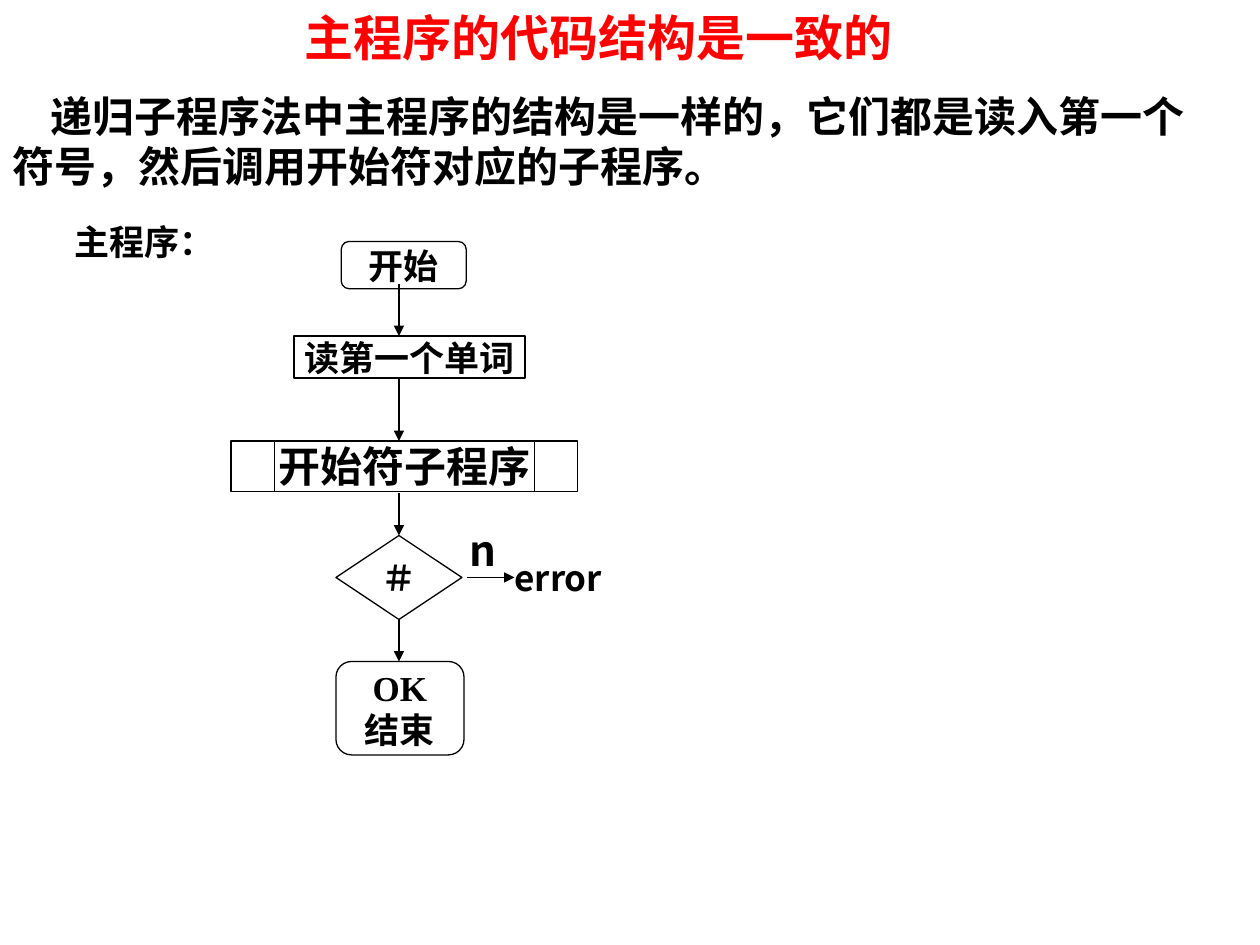
from dataclasses import dataclass

from lxml.etree import SubElement
from pptx import Presentation
from pptx.dml.color import RGBColor
from pptx.enum.shapes import MSO_CONNECTOR, MSO_SHAPE
from pptx.enum.text import MSO_ANCHOR, PP_ALIGN
from pptx.oxml.ns import qn
from pptx.util import Inches, Pt


@dataclass(frozen=True)
class Theme:
    ink: RGBColor = RGBColor(0, 0, 0)
    title_ink: RGBColor = RGBColor(255, 0, 0)
    sans: str = "Noto Sans CJK SC"
    serif: str = "Times New Roman"
    title: int = 28
    large: int = 24
    normal: int = 20
    line: float = 0.75


THEME = Theme()
WIDTH, HEIGHT = 10, 7.5
COLS, ROWS = 120, 90
AXIS = 38  # column of the main flow


def x(col):
    return Inches(WIDTH * col / COLS)


def y(row):
    return Inches(HEIGHT * row / ROWS)


def box(col, row, cols, rows):
    return x(col), y(row), x(cols), y(rows)


def set_text(tf, text, size, font, color=THEME.ink, align=PP_ALIGN.LEFT,
             anchor=MSO_ANCHOR.TOP, inset=0):
    tf.text = text
    tf.vertical_anchor = anchor
    tf.margin_left = tf.margin_right = Inches(inset)
    tf.margin_top = tf.margin_bottom = Inches(inset / 2)
    for p in tf.paragraphs:
        p.alignment = align
        for r in p.runs:
            r.font.size = Pt(size)
            r.font.bold = True
            r.font.name = font
            r.font.color.rgb = color
            SubElement(r.font._element, qn("a:ea"), typeface=THEME.sans)


def add_text(s, place, text, size, font=THEME.sans, wrap=False, **style):
    tf = s.shapes.add_textbox(*box(*place)).text_frame
    set_text(tf, text, size, font, **style)
    tf.word_wrap = wrap
    return tf


def add_step(s, kind, place, text, size=THEME.normal, font=THEME.sans):
    sp = s.shapes.add_shape(kind, *box(*place))
    sp.shadow.inherit = False
    sp.fill.background()
    sp.line.color.rgb = THEME.ink
    sp.line.width = Pt(THEME.line)
    set_text(sp.text_frame, text, size, font,
             align=PP_ALIGN.CENTER, anchor=MSO_ANCHOR.MIDDLE)


def add_arrow(s, start, end):
    """Draw an arrow between two (column, row) points."""
    c = s.shapes.add_connector(MSO_CONNECTOR.STRAIGHT, x(start[0]), y(start[1]),
                               x(end[0]), y(end[1]))
    c.line.color.rgb = THEME.ink
    c.line.width = Pt(THEME.line)
    SubElement(c.line._get_or_add_ln(), qn("a:tailEnd"), type="triangle")
    SubElement(c._element.spPr, qn("a:effectLst"))


def add_heading(s):
    add_text(s, (7, 0, 100, 7), "主程序的代码结构是一致的", THEME.title, THEME.serif,
             wrap=True, color=THEME.title_ink, align=PP_ALIGN.CENTER,
             anchor=MSO_ANCHOR.MIDDLE, inset=0.1)
    tf = add_text(s, (0, 8, 114, 11),
                  "递归子程序法中主程序的结构是一样的，它们都是读入第一个符号，"
                  "然后调用开始符对应的子程序。", THEME.large, wrap=True, inset=0.1)
    tf.paragraphs[0]._p.get_or_add_pPr().set("indent", str(Inches(0.3)))


def add_flowchart(s):
    terminal = MSO_SHAPE.FLOWCHART_ALTERNATE_PROCESS
    add_text(s, (7.1, 21, 13.3, 4), "主程序：", THEME.normal, THEME.serif)
    add_step(s, terminal, (32.5, 23, 11.9, 4.5), "开始", font=THEME.serif)
    add_step(s, MSO_SHAPE.FLOWCHART_PROCESS, (28, 32, 22, 4), "读第一个单词")
    add_step(s, MSO_SHAPE.FLOWCHART_PREDEFINED_PROCESS, (22, 42, 33, 4.8),
             "开始符子程序", THEME.large)
    add_step(s, MSO_SHAPE.FLOWCHART_DECISION, (32, 51, 12, 8), "＃")
    add_step(s, terminal, (32, 63, 12.2, 8.9), "OK\n结束", font=THEME.serif)
    for top, bottom in ((27, 32), (36, 42), (47, 51), (59, 63)):
        add_arrow(s, (AXIS, top), (AXIS, bottom))
    add_arrow(s, (44.5, 55), (49, 55))
    add_text(s, (44.7, 50, 2.6, 4.8), "n", THEME.large)
    add_text(s, (49, 53, 8.6, 4), "error", THEME.normal)


def main():
    prs = Presentation()
    prs.slide_width, prs.slide_height = Inches(WIDTH), Inches(HEIGHT)
    s = prs.slides.add_slide(prs.slide_layouts[6])
    add_heading(s)
    add_flowchart(s)
    prs.save("out.pptx")


if __name__ == "__main__":
    main()
